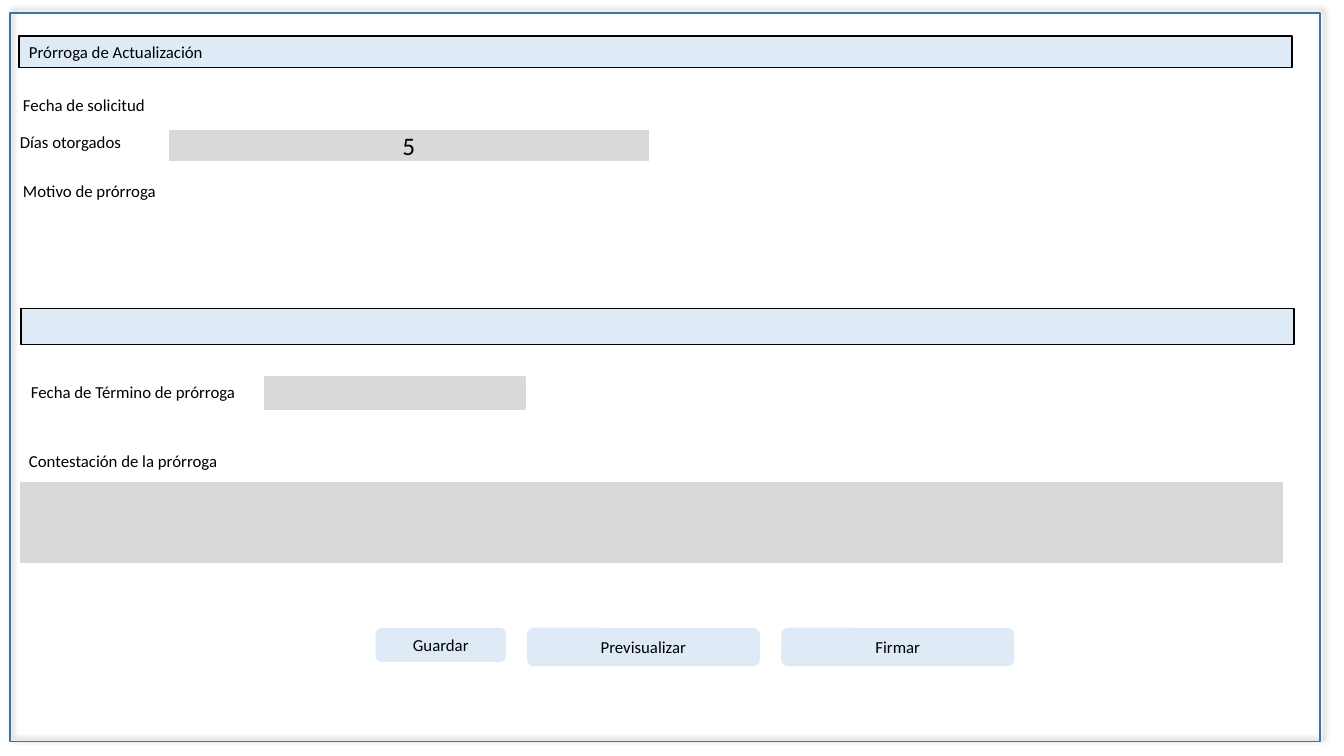
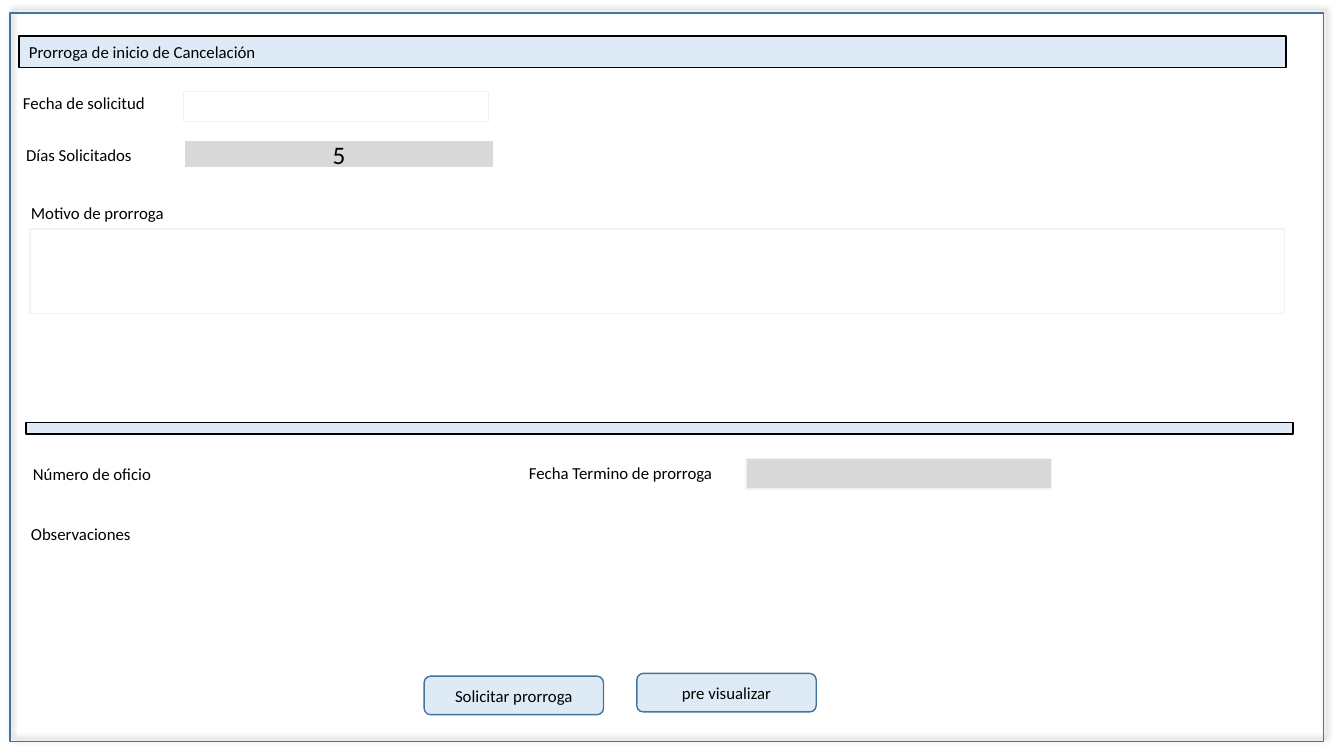
from lxml.etree import SubElement
from pptx import Presentation
from pptx.dml.color import RGBColor
from pptx.enum.shapes import MSO_SHAPE as Preset
from pptx.enum.text import MSO_ANCHOR as Anchor, MSO_AUTO_SIZE as AutoSize, PP_ALIGN as Align
from pptx.oxml.ns import qn
from pptx.util import Cm, Pt

COLORS = {
    "text": "000000", "band": "DEEBF7", "band_line": "000000", "accent": "43739E",
    "gray": "D9D9D9", "white": "FFFFFF", "pale_line": "F2F2F2", "shadow": "000000",
}
FONT = "Calibri"
LABEL_HEIGHT = 0.76

# Lengths in cm: left, top, width, height
FORMS = [
    {
        "frame_width": 33.02,
        "bands": [
            ("Prórroga de Actualización", (0.48, 0.91, 32.08, 0.79)),
            ("", (0.53, 7.77, 32.08, 0.91)),
        ],
        "labels": [  # text, left, top, width
            ("Fecha de solicitud", 0.33, 2.26, 8.56),
            ("Días otorgados", 0.25, 3.2, 8.56),
            ("Motivo de prórroga", 0.33, 4.42, 10.16),
            ("Fecha de Término de prórroga", 0.53, 9.5, 8.56),
            ("Contestación de la prórroga", 0.48, 11.23, 10.16),
        ],
        "fields": [  # value, box, fill, line
            ("5", (4.27, 3.3, 12.07, 0.74), "gray", "gray"),
            ("", (6.68, 9.5, 6.55, 0.81), "gray", "gray"),
            ("", (0.53, 12.17, 31.78, 2.01), "gray", "gray"),
        ],
        "button_line": None,
        "buttons": [
            ("Guardar", (9.47, 15.82, 3.28, 0.86)),
            ("Previsualizar", (13.28, 15.82, 5.87, 0.97)),
            ("Firmar", (19.69, 15.82, 5.87, 0.97)),
        ],
    },
    {
        "frame_width": 33.1,
        "bands": [
            ("Prorroga de inicio de Cancelación", (0.48, 0.91, 31.93, 0.79)),
            ("", (0.66, 10.64, 31.93, 0.3)),
        ],
        "labels": [
            ("Fecha de solicitud", 0.33, 2.21, 8.56),
            ("Días Solicitados", 0.41, 3.53, 8.56),
            ("Motivo de prorroga", 0.53, 4.98, 10.16),
            ("Número de oficio", 0.58, 11.56, 8.56),
            ("Fecha Termino de prorroga", 13.08, 11.53, 8.56),
            ("Observaciones", 0.53, 13.08, 10.16),
        ],
        "fields": [
            ("", (4.62, 2.31, 7.7, 0.76), "white", "pale_line"),
            ("5", (4.67, 3.56, 7.75, 0.64), "gray", "gray"),
            ("", (0.76, 5.77, 31.62, 2.13), "white", "pale_line"),
            ("", (18.8, 11.56, 7.7, 0.76), "gray", "pale_line"),
        ],
        "button_line": "accent",
        "buttons": [
            ("Solicitar prorroga", (10.69, 17.04, 4.52, 0.97)),
            ("pre visualizar", (16.05, 16.97, 4.52, 0.97)),
        ],
    },
]


def rgb(name):
    return RGBColor.from_string(COLORS[name])


def write(frame, text, size=12, align=Align.LEFT):
    frame.word_wrap = True
    paragraph = frame.paragraphs[0]
    paragraph.alignment = align
    run = paragraph.add_run()
    run.text = text
    run.font.name = FONT
    run.font.size = Pt(size)
    run.font.color.rgb = rgb("text")


def add_box(slide, box, fill=None, line=None, text="", size=12,
            align=Align.CENTER, preset=Preset.RECTANGLE):
    shape = slide.shapes.add_shape(preset, *map(Cm, box))
    shape.shadow.inherit = False
    if fill:
        shape.fill.solid()
        shape.fill.fore_color.rgb = rgb(fill)
    else:
        shape.fill.background()
    if line:
        shape.line.color.rgb = rgb(line)
        shape.line.width = Pt(1)
    else:
        shape.line.fill.background()
    if text:
        shape.text_frame.vertical_anchor = Anchor.MIDDLE
        write(shape.text_frame, text, size, align)
    return shape


def add_frame(slide, width):
    """Page outline with a soft shadow towards the upper right."""
    frame = add_box(slide, (0.25, 0.33, width, 18.36), line="accent")
    effects = frame._element.spPr.find(qn("a:effectLst"))
    shadow = SubElement(effects, qn("a:outerShdw"), blurRad=str(Pt(4)), dist=str(Pt(3)),
                        dir=str(315 * 60000), algn="bl", rotWithShape="0")
    color = SubElement(shadow, qn("a:srgbClr"), val=COLORS["shadow"])
    SubElement(color, qn("a:alpha"), val="40000")


def add_label(slide, text, left, top, width):
    label = slide.shapes.add_textbox(*map(Cm, (left, top, width, LABEL_HEIGHT)))
    write(label.text_frame, text)
    label.text_frame.auto_size = AutoSize.SHAPE_TO_FIT_TEXT


def add_form(deck, form):
    slide = deck.slides.add_slide(deck.slide_layouts[6])
    add_frame(slide, form["frame_width"])
    for title, box in form["bands"]:
        add_box(slide, box, "band", "band_line", title, align=Align.LEFT)
    for label in form["labels"]:
        add_label(slide, *label)
    for value, box, fill, line in form["fields"]:
        add_box(slide, box, fill, line, value, size=18)
    for caption, box in form["buttons"]:
        add_box(slide, box, "band", form["button_line"], caption,
                preset=Preset.ROUNDED_RECTANGLE)


def main():
    deck = Presentation()
    deck.slide_width, deck.slide_height = Cm(33.87), Cm(19.05)
    for form in FORMS:
        add_form(deck, form)
    deck.save("out.pptx")


if __name__ == "__main__":
    main()
